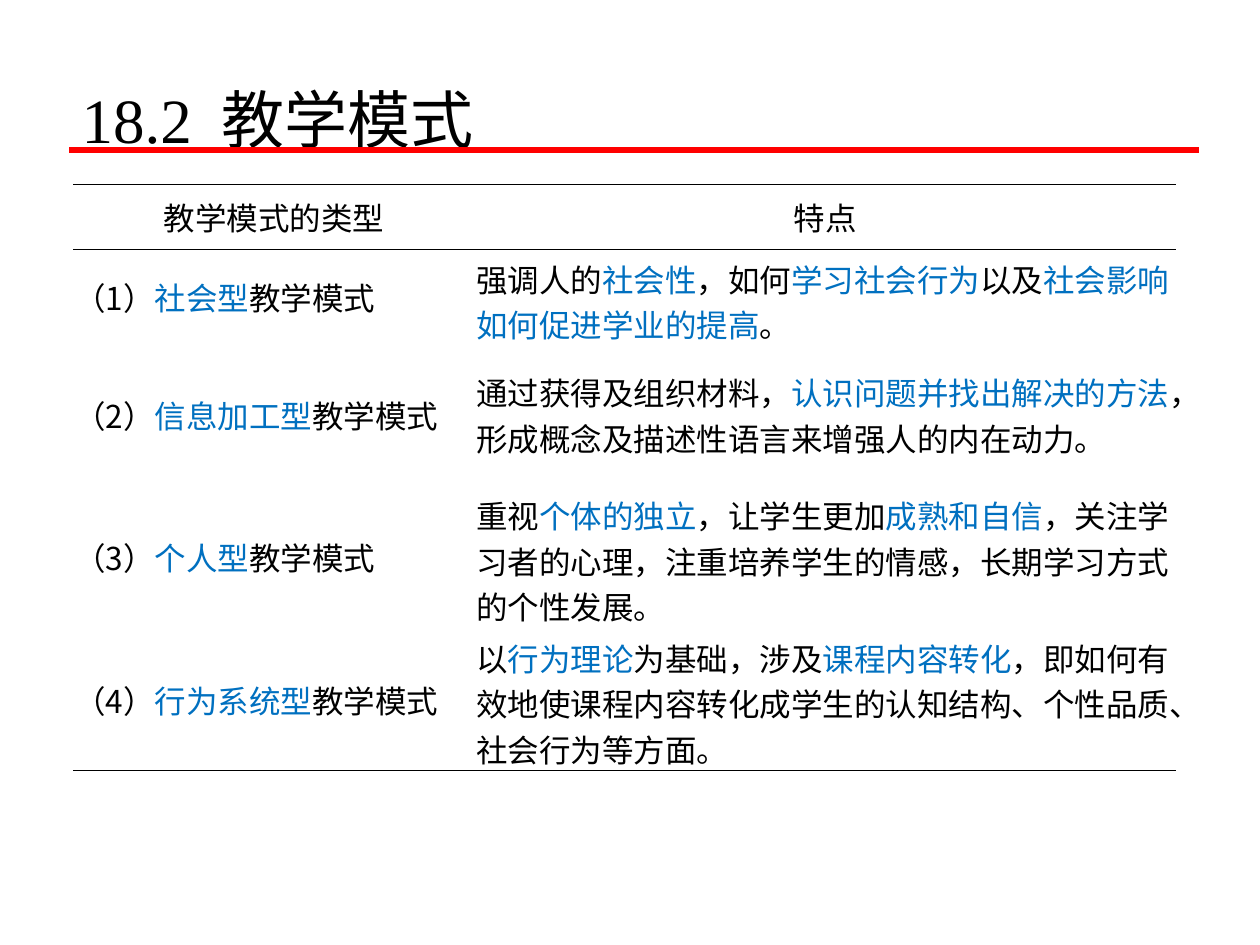
from dataclasses import dataclass

from lxml.etree import SubElement
from pptx import Presentation
from pptx.dml.color import RGBColor
from pptx.enum.shapes import MSO_CONNECTOR
from pptx.enum.text import MSO_ANCHOR, PP_ALIGN
from pptx.oxml.ns import qn
from pptx.util import Pt


@dataclass(frozen=True)
class Theme:
    black: str = "000000"
    blue: str = "0070C0"
    red: str = "FF0000"
    title_font: str = "Times New Roman"
    body_font: str = "Noto Sans CJK SC"
    title_size: float = 36
    body_size: float = 18
    border_width: float = 0.45


class SlideBuilder:
    def __init__(self, slide, theme):
        self.slide = slide
        self.theme = theme

    def add_run(self, paragraph, text, font, size, color):
        run = paragraph.add_run()
        run.text = text
        run.font.name = font
        run.font.size = Pt(size)
        run.font.color.rgb = RGBColor.from_string(color)
        east_asian = SubElement(run.font._element, qn("a:ea"))
        east_asian.set("typeface", self.theme.body_font)
        return run

    def add_title(self, number, text, left, top, width, height):
        theme = self.theme
        frame = self.slide.shapes.add_textbox(
            Pt(left), Pt(top), Pt(width), Pt(height)).text_frame
        frame.word_wrap = True
        paragraph = frame.paragraphs[0]
        paragraph.line_spacing = 1.3
        paragraph.space_before = paragraph.space_after = Pt(1)
        runs = [self.add_run(paragraph, part, theme.title_font, theme.title_size, theme.black)
                for part in (number, " ", text)]
        # Widen the gap after the section number by 8 pt
        runs[1].font._element.set("spc", "800")

    def add_rule(self, left, top, right, width):
        line = self.slide.shapes.add_connector(
            MSO_CONNECTOR.STRAIGHT, Pt(left), Pt(top), Pt(right), Pt(top))
        line.line.color.rgb = RGBColor.from_string(self.theme.red)
        line.line.width = Pt(width)
        SubElement(line._element.spPr, qn("a:effectLst"))

    def set_borders(self, cell, visible):
        properties = cell._tc.get_or_add_tcPr()
        for position, side in enumerate(("lnL", "lnR", "lnT", "lnB")):
            border = properties.makeelement(qn(f"a:{side}"))
            properties.insert(position, border)
            if side in visible:
                border.set("w", str(int(Pt(self.theme.border_width))))
                fill = SubElement(border, qn("a:solidFill"))
                SubElement(fill, qn("a:srgbClr")).set("val", self.theme.black)
            else:
                SubElement(border, qn("a:noFill"))

    def fill_cell(self, cell, parts, alignment, visible_borders):
        theme = self.theme
        cell.fill.background()
        cell.vertical_anchor = MSO_ANCHOR.MIDDLE
        cell.margin_left = cell.margin_right = Pt(0.7)
        cell.margin_top = cell.margin_bottom = Pt(3.6)
        paragraph = cell.text_frame.paragraphs[0]
        paragraph.alignment = alignment
        # Parts alternate between plain and highlighted text
        for index, part in enumerate(parts):
            color = theme.blue if index % 2 else theme.black
            self.add_run(paragraph, part, theme.body_font, theme.body_size, color)
        self.set_borders(cell, visible_borders)

    def add_table(self, rows, left, top, widths, heights):
        table = self.slide.shapes.add_table(
            len(rows), len(widths), Pt(left), Pt(top),
            Pt(sum(widths)), Pt(sum(heights))).table
        table.first_row = table.horz_banding = False
        for column, width in zip(table.columns, widths):
            column.width = Pt(width)
        for row, height in zip(table.rows, heights):
            row.height = Pt(height)
        borders = {0: ("lnT", "lnB"), 1: ("lnT",), len(rows) - 1: ("lnB",)}
        for row_index, row in enumerate(rows):
            alignment = PP_ALIGN.LEFT if row_index else PP_ALIGN.CENTER
            for column_index, parts in enumerate(row):
                self.fill_cell(table.cell(row_index, column_index), parts,
                               alignment, borders.get(row_index, ()))


HEADER = (("教学模式的类型",), ("特点",))
MODELS = (
    ("社会型", ("强调人的", "社会性", "，如何", "学习社会行为", "以及",
             "社会影响如何促进学业的提高", "。")),
    ("信息加工型", ("通过获得及组织材料，", "认识问题并找出解决的方法",
               "，形成概念及描述性语言来增强人的内在动力。")),
    ("个人型", ("重视", "个体的独立", "，让学生更加", "成熟和自信",
             "，关注学习者的心理，注重培养学生的情感，长期学习方式的个性发展。")),
    ("行为系统型", ("以", "行为理论", "为基础，涉及", "课程内容转化",
               "，即如何有效地使课程内容转化成学生的认知结构、个性品质、社会行为等方面。")),
)


def main():
    presentation = Presentation()
    presentation.slide_width, presentation.slide_height = Pt(720), Pt(540)
    slide = presentation.slides.add_slide(presentation.slide_layouts[6])
    builder = SlideBuilder(slide, Theme())

    # Title and red rule
    builder.add_title("18.2", "教学模式", 39.6, 29.5, 646.5, 63.4)
    builder.add_rule(39.6, 85.7, 685.4, 3)

    # Teaching models and their features
    rows = [HEADER] + [((f"（{number}）", name, "教学模式"), features)
                       for number, (name, features) in enumerate(MODELS, 1)]
    builder.add_table(rows, 41.8, 105.5, (229.7, 400.3), (36.9, 54, 81.3, 81.3, 81.3))

    presentation.save("out.pptx")


if __name__ == "__main__":
    main()
